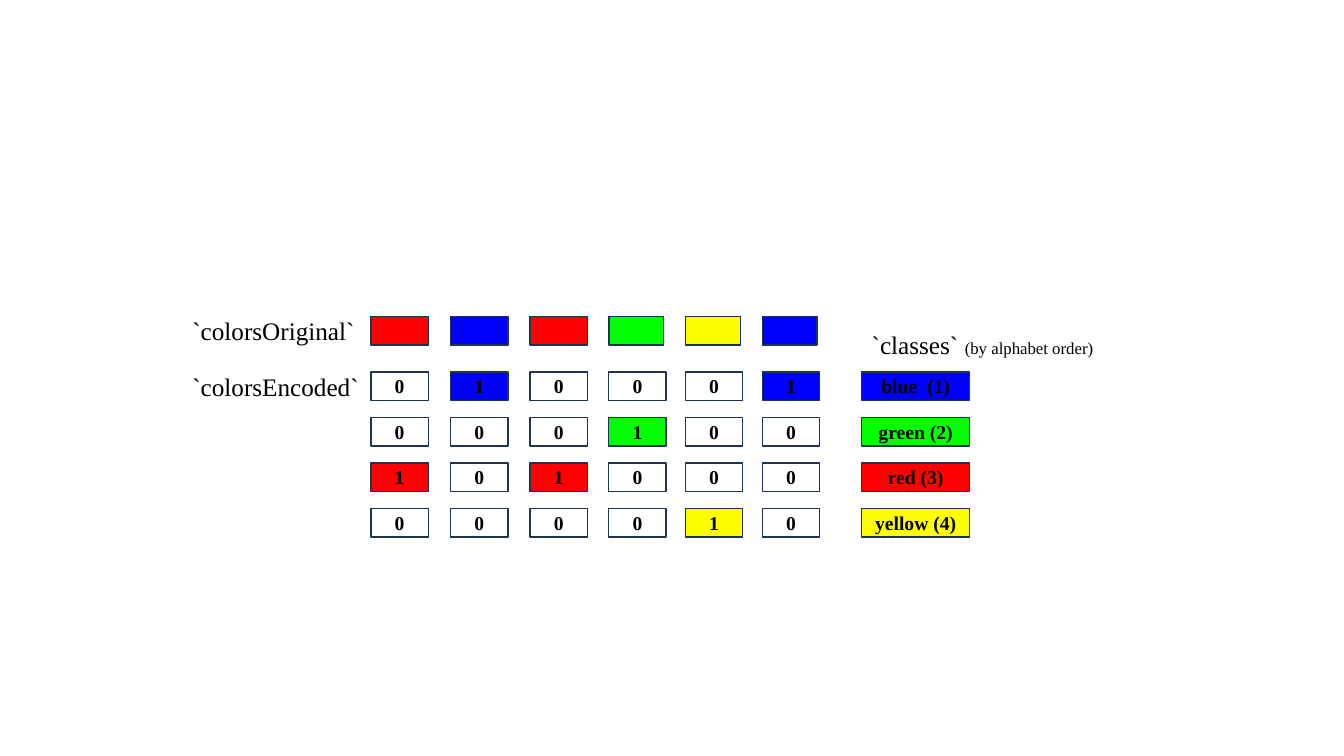
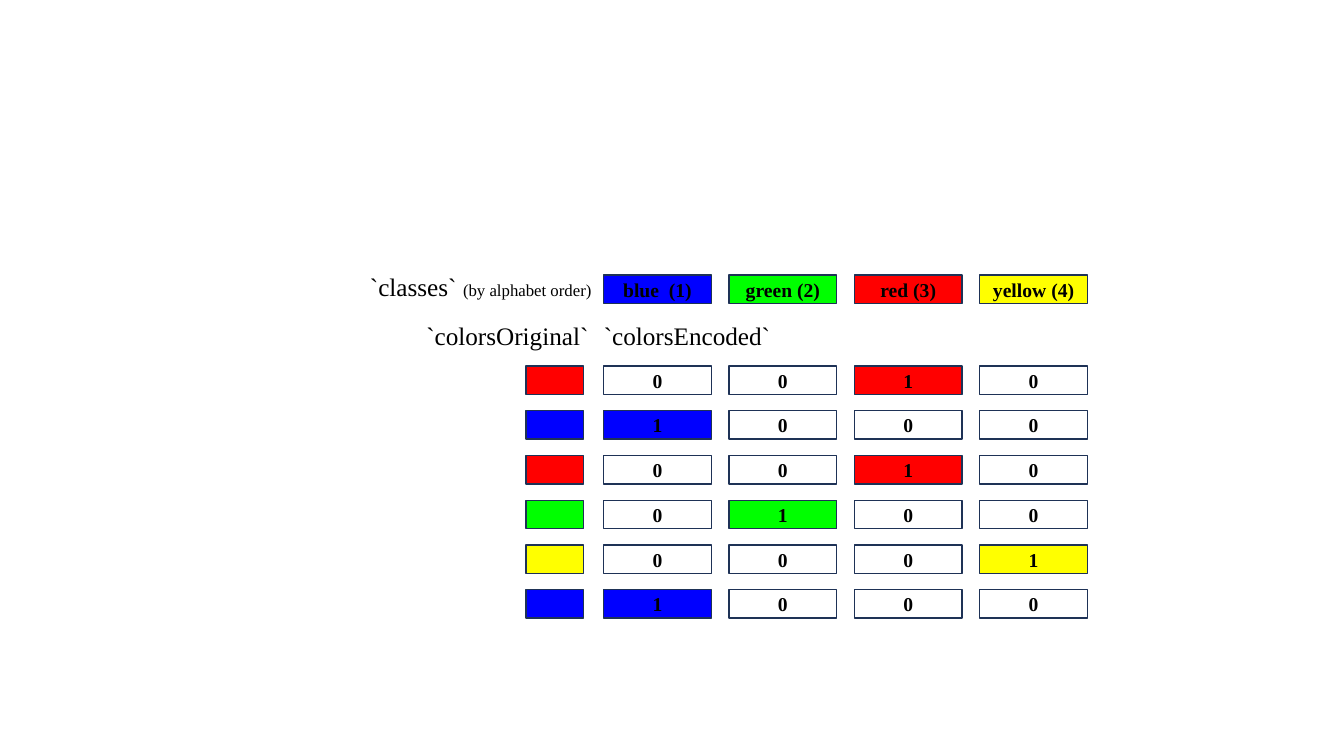
from pptx import Presentation
from pptx.dml.color import RGBColor
from pptx.enum.shapes import MSO_SHAPE
from pptx.enum.text import MSO_ANCHOR, MSO_AUTO_SIZE, PP_ALIGN
from pptx.util import Pt

# Data: class labels in alphabet order, and the samples to encode
CLASSES = {
    "blue": ("blue  (1)", "0000FF"),
    "green": ("green (2)", "00FF00"),
    "red": ("red (3)", "FF0000"),
    "yellow": ("yellow (4)", "FFFF00"),
}
SAMPLES = ["red", "blue", "red", "green", "yellow", "blue"]

# Shared sizes, in points
SAMPLE_WIDTH, CLASS_WIDTH, BOX_HEIGHT = 41, 77, 20.3
LABEL_WIDTH, HEADING_WIDTH, LABEL_HEIGHT = 134, 174, 29


def color(hex_value):
    return RGBColor.from_string(hex_value)


class Deck:
    """Holds the style and the current slide."""

    FONT = "Times New Roman"
    INK = "000000"
    OUTLINE = "1E3256"
    CELL_FORMAT = {"size": Pt(14), "bold": True}
    LABEL_FORMAT = {"size": Pt(18)}
    NOTE_FORMAT = {"size": Pt(12)}

    def __init__(self):
        self.presentation = Presentation()
        self.presentation.slide_width = Pt(960)
        self.presentation.slide_height = Pt(540)
        self.slide = None

    def new_slide(self):
        blank_layout = self.presentation.slide_layouts[6]
        self.slide = self.presentation.slides.add_slide(blank_layout)

    def group(self):
        return self.slide.shapes.add_group_shape().shapes

    def run(self, paragraph, text, text_format):
        run = paragraph.add_run()
        run.text = text
        for name, value in {"name": self.FONT, **text_format}.items():
            setattr(run.font, name, value)
        run.font.color.rgb = color(self.INK)

    def box(self, shapes, left, top, width, fill=None, text=""):
        shape = shapes.add_shape(MSO_SHAPE.FLOWCHART_PROCESS,
                                 Pt(left), Pt(top), Pt(width), Pt(BOX_HEIGHT))
        shape.shadow.inherit = False
        shape.line.color.rgb = color(self.OUTLINE)
        shape.line.width = Pt(1)
        if fill:
            shape.fill.solid()
            shape.fill.fore_color.rgb = color(fill)
        else:
            shape.fill.background()
        if text:
            frame = shape.text_frame
            frame.vertical_anchor = MSO_ANCHOR.MIDDLE
            frame.paragraphs[0].alignment = PP_ALIGN.CENTER
            self.run(frame.paragraphs[0], text, self.CELL_FORMAT)

    def code_cell(self, shapes, left, top, width, sample, class_name):
        """One cell of the one-hot code: a filled 1 or an empty 0."""
        if sample == class_name:
            self.box(shapes, left, top, width, CLASSES[class_name][1], "1")
        else:
            self.box(shapes, left, top, width, text="0")

    def label(self, left, top, text, width=LABEL_WIDTH, note=""):
        text_box = self.slide.shapes.add_textbox(
            Pt(left), Pt(top), Pt(width), Pt(LABEL_HEIGHT))
        frame = text_box.text_frame
        frame.word_wrap = True
        frame.auto_size = MSO_AUTO_SIZE.SHAPE_TO_FIT_TEXT
        self.run(frame.paragraphs[0], text, self.LABEL_FORMAT)
        if note:
            self.run(frame.paragraphs[0], note, self.NOTE_FORMAT)

    def classes_heading(self, left, top):
        self.label(left, top, "`classes` ", HEADING_WIDTH, "(by alphabet order)")


def samples_in_columns(deck):
    deck.new_slide()
    column_lefts = [265, 321.9, 378.7, 434.9, 489.6, 544.5]
    row_tops = [265.7 + 32.5 * row for row in range(len(CLASSES))]

    # Labels
    deck.label(130.3, 221.8, "`colorsOriginal`")
    deck.label(130.3, 261.4, "`colorsEncoded`")
    deck.classes_heading(615.6, 231.8)

    # Class key, one row per class
    for top, (text, fill) in zip(row_tops, CLASSES.values()):
        deck.box(deck.slide.shapes, 615.6, top, CLASS_WIDTH, fill, text)

    # Each sample above its code column; the last three swatches are narrower
    for index, (left, sample) in enumerate(zip(column_lefts, SAMPLES)):
        swatch_width = SAMPLE_WIDTH if index < 3 else 39.2
        deck.box(deck.slide.shapes, left, 226.1, swatch_width, CLASSES[sample][1])
        code_column = deck.group()
        for top, class_name in zip(row_tops, CLASSES):
            deck.code_cell(code_column, left, top, SAMPLE_WIDTH, sample, class_name)


def samples_in_rows(deck):
    deck.new_slide()
    column_lefts = [431.2 + 89.55 * column for column in range(len(CLASSES))]
    row_tops = [261.5 + 31.95 * row for row in range(len(SAMPLES))]

    # Labels
    deck.label(297.4, 224.9, "`colorsOriginal`")
    deck.label(424.2, 224.9, "`colorsEncoded`")
    deck.classes_heading(257.2, 190.1)

    # Class key, one column per class
    for left, (text, fill) in zip(column_lefts, CLASSES.values()):
        deck.box(deck.slide.shapes, left, 196.5, CLASS_WIDTH, fill, text)

    # Each sample to the left of its code row
    swatches = deck.group()
    for top, sample in zip(row_tops, SAMPLES):
        deck.box(swatches, 375.8, top, SAMPLE_WIDTH, CLASSES[sample][1])
        code_row = deck.group()
        for left, class_name in zip(column_lefts, CLASSES):
            deck.code_cell(code_row, left, top, CLASS_WIDTH, sample, class_name)


def main():
    deck = Deck()
    samples_in_columns(deck)
    samples_in_rows(deck)
    deck.presentation.save("out.pptx")


if __name__ == "__main__":
    main()
